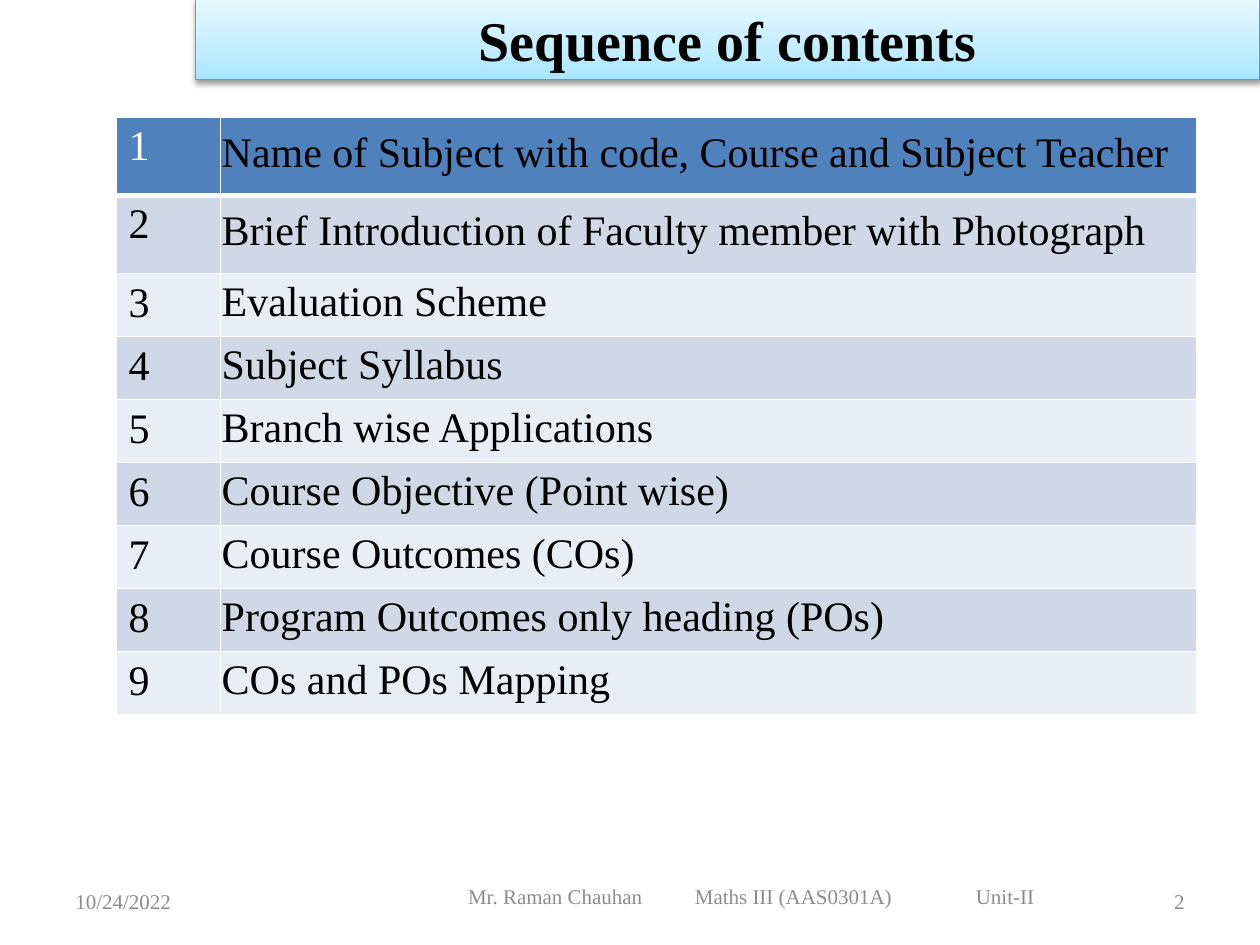
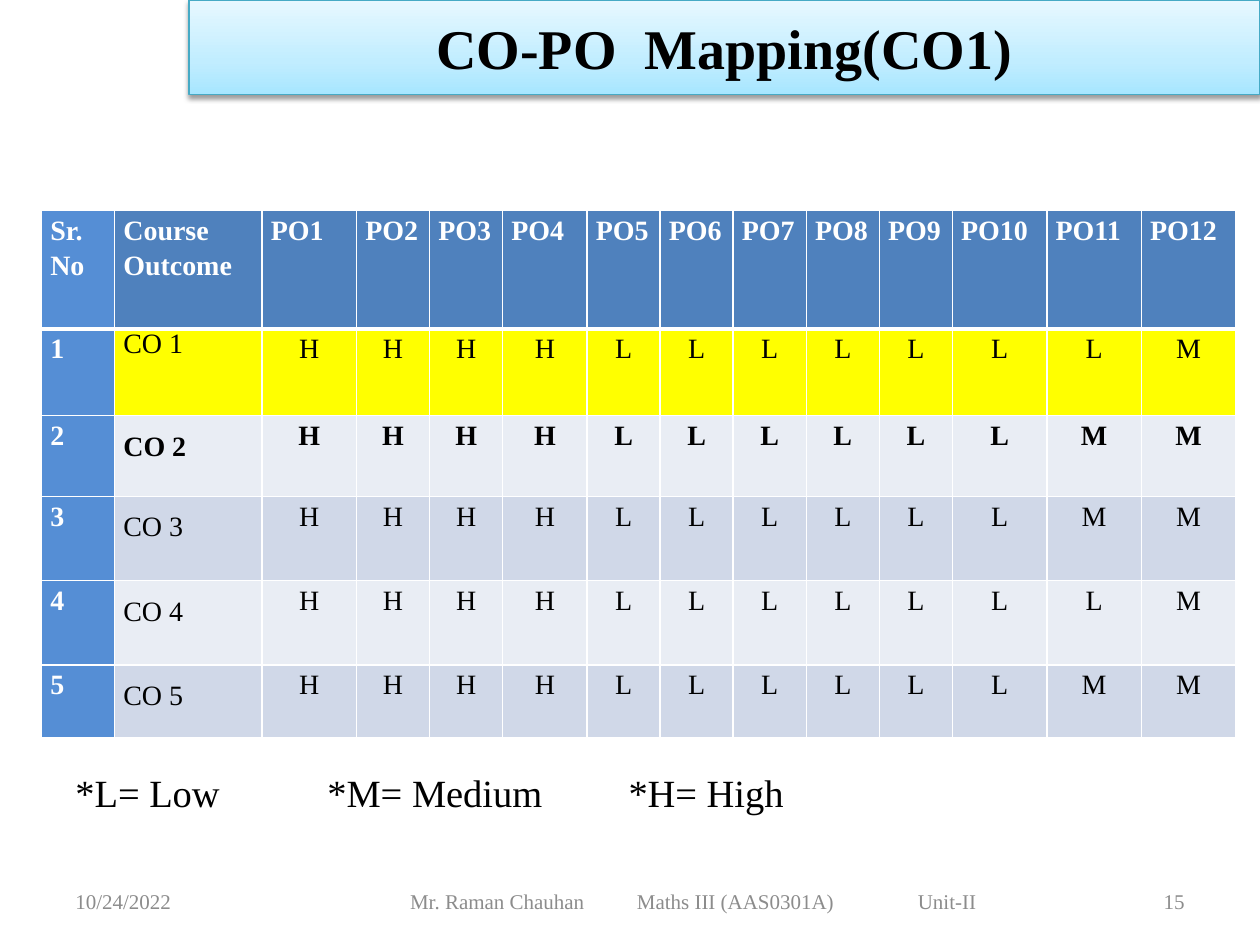
from pptx import Presentation
from pptx.dml.color import RGBColor
from pptx.enum.shapes import MSO_SHAPE as SHAPE
from pptx.enum.text import MSO_ANCHOR as ANCHOR, PP_ALIGN as ALIGN
from pptx.oxml import parse_xml
from pptx.oxml.ns import nsdecls, qn
from pptx.util import Inches, Pt
from lxml import etree

FONT = "Times New Roman"
BLACK, WHITE, GREY = "000000", "FFFFFF", "8C8C8C"
HEADER, SERIAL, HIGHLIGHT = "4F81BD", "558ED5", "FFFF00"
BANDS = ("D0D8E8", "E9EDF4")
BAND_STOPS = ((0, "A7E6FF"), (35, "C1EDFF"), (100, "E7F8FF"))
BAND_LINE = "46AAC5"

DATE = "10/24/2022"
FOOTER = ("Mr. Raman Chauhan", "Maths III (AAS0301A)", "Unit-II")
FOOTER_TABS, FOOTER_WIDTH = (1.8, 4.03), 4.49
INSET = 0.1

CONTENTS = [
    "Name of Subject with code, Course and Subject Teacher",
    "Brief Introduction of Faculty member with Photograph",
    "Evaluation Scheme",
    "Subject Syllabus",
    "Branch wise Applications",
    "Course Objective (Point wise)",
    "Course Outcomes (COs)",
    "Program Outcomes only heading (POs)",
    "COs and POs Mapping",
]
MAPPING = ["HHHHLLLLLLLM", "HHHHLLLLLLMM", "HHHHLLLLLLMM",
           "HHHHLLLLLLLM", "HHHHLLLLLLMM"]
MAPPING_HEAD = ["Sr. No", "Course Outcome"] + [f"PO{n}" for n in range(1, 13)]
MAPPING_COLS = [0.58, 1.17, 0.75, 0.58, 0.58, 0.67] + [0.58] * 5 + [0.75] * 3
MAPPING_ROWS = [0.94, 0.69, 0.64, 0.67, 0.67, 0.58]
LEGEND = ("*L= Low", "*M= Medium", "*H= High")
LEGEND_TABS = (2.0, 4.39)


def rgb(value):
    return RGBColor.from_string(value)


def write(tf, text, size=12, color=BLACK, bold=False, align=ALIGN.LEFT,
          spacing=None, tabs=()):
    p = tf.paragraphs[0]
    if tabs:
        tab_list = etree.SubElement(p._p.get_or_add_pPr(), qn("a:tabLst"))
        for pos in tabs:
            etree.SubElement(tab_list, qn("a:tab"), pos=str(Inches(pos)), algn="l")
    p.alignment = align
    if spacing:
        p.line_spacing = spacing
    r = p.add_run()
    r.text = text
    r.font.name, r.font.size, r.font.bold = FONT, Pt(size), bold
    r.font.color.rgb = rgb(color)


def add_text(slide, box, text, left_inset=INSET, **fmt):
    tf = slide.shapes.add_textbox(*map(Inches, box)).text_frame
    tf.word_wrap = True
    tf.vertical_anchor = ANCHOR.MIDDLE
    tf.margin_left = Inches(left_inset)
    write(tf, text, **fmt)


def add_title(slide, box, text):
    sp = slide.shapes.add_shape(SHAPE.RECTANGLE, *map(Inches, box))
    sp.line.color.rgb = rgb(BAND_LINE)
    sp.line.width = Pt(0.75)
    sp.shadow.inherit = False
    stops = "".join(f'<a:gs pos="{pos * 1000}"><a:srgbClr val="{color}"/></a:gs>'
                    for pos, color in BAND_STOPS)
    spPr = sp._element.spPr
    spPr.find(qn("a:prstGeom")).addnext(parse_xml(
        f'<a:gradFill {nsdecls("a")} rotWithShape="1"><a:gsLst>{stops}</a:gsLst>'
        '<a:lin ang="16200000" scaled="0"/></a:gradFill>'))
    spPr.find(qn("a:effectLst")).append(parse_xml(
        f'<a:outerShdw {nsdecls("a")} blurRad="{Pt(3.1)}" dist="{Pt(1.6)}" '
        'dir="5400000" rotWithShape="0"><a:srgbClr val="000000">'
        '<a:alpha val="38000"/></a:srgbClr></a:outerShdw>'))
    sp.text_frame.vertical_anchor = ANCHOR.MIDDLE
    write(sp.text_frame, text, size=32, bold=True, align=ALIGN.CENTER)


def add_footer(slide, number, box):
    add_text(slide, (0.5, 6.95, 2.33, 0.4), DATE, color=GREY)
    add_text(slide, box, "\t".join(FOOTER), color=GREY, tabs=FOOTER_TABS,
             left_inset=(box[2] - FOOTER_WIDTH) / 2)
    add_text(slide, (7.17, 6.95, 2.33, 0.4), str(number), color=GREY,
             align=ALIGN.RIGHT)


def add_grid(slide, left, top, cols, rows):
    box = map(Inches, (left, top, sum(cols), sum(rows)))
    table = slide.shapes.add_table(len(rows), len(cols), *box).table
    table.horz_banding = False
    for col, width in zip(table.columns, cols):
        col.width = Inches(width)
    for row, height in zip(table.rows, rows):
        row.height = Inches(height)
    return table


def fill_cell(table, row, col, text, fill, margins=None, anchor=ANCHOR.TOP, **fmt):
    cell = table.cell(row, col)
    if margins:
        (cell.margin_left, cell.margin_top,
         cell.margin_right, cell.margin_bottom) = map(Inches, margins)
    cell.vertical_anchor = anchor
    tcPr = cell._tc.get_or_add_tcPr()
    heavy = {0: "B", 1: "T"}.get(row)
    for side in "LRTB":
        width = Pt(3 if side == heavy else 1)
        ln = etree.SubElement(tcPr, qn(f"a:ln{side}"), w=str(width))
        solid = etree.SubElement(ln, qn("a:solidFill"))
        etree.SubElement(solid, qn("a:srgbClr"), val=WHITE)
    cell.fill.solid()
    cell.fill.fore_color.rgb = rgb(fill)
    write(cell.text_frame, text, **fmt)


def contents_slide(slide):
    add_title(slide, (1.55, -0.01, 8.45, 0.64), "Sequence of contents")
    add_footer(slide, 2, (3.42, 6.88, 5.08, 0.47))
    rows = [0.62] * 2 + [0.47] * (len(CONTENTS) - 2)
    table = add_grid(slide, 0.92, 0.93, (0.83, 7.75), rows)
    for i, topic in enumerate(CONTENTS):
        fill = BANDS[(i - 1) % 2] if i else HEADER
        fill_cell(table, i, 0, str(i + 1), fill, size=24,
                  color=BLACK if i else WHITE)
        fill_cell(table, i, 1, topic, fill, size=24, anchor=ANCHOR.MIDDLE,
                  margins=(0.01, 0.01, 0.01, 0.05))


def mapping_slide(slide):
    add_title(slide, (1.5, 0, 8.5, 0.75), "CO-PO  Mapping(CO1)")
    add_footer(slide, 15, (2.75, 6.95, 5.5, 0.4))
    add_text(slide, (0.5, 6.06, 9, 0.45), "\t".join(LEGEND), size=22,
             tabs=LEGEND_TABS)
    table = add_grid(slide, 0.33, 1.67, MAPPING_COLS, MAPPING_ROWS)
    base = dict(margins=(0.07, 0, 0.07, 0), size=16)
    white = dict(base, color=WHITE, bold=True, spacing=1.15)
    for j, head in enumerate(MAPPING_HEAD):
        fill_cell(table, 0, j, head, HEADER if j else SERIAL, **white)
    for i, levels in enumerate(MAPPING, 1):
        fill = HIGHLIGHT if i == 1 else BANDS[(i - 1) % 2]
        bold = i == 2
        fill_cell(table, i, 0, str(i), SERIAL, **white)
        fill_cell(table, i, 1, f"CO {i}", fill, bold=bold,
                  spacing=None if i == 1 else 1.5,
                  align=ALIGN.LEFT if i == 1 else ALIGN.JUSTIFY, **base)
        for j, level in enumerate(levels, 2):
            fill_cell(table, i, j, level, fill, bold=bold, spacing=1.15,
                      align=ALIGN.CENTER, **base)


def main():
    prs = Presentation()
    prs.slide_width, prs.slide_height = Inches(10), Inches(7.5)
    for build in (contents_slide, mapping_slide):
        build(prs.slides.add_slide(prs.slide_layouts[6]))
    prs.save("out.pptx")


if __name__ == "__main__":
    main()
